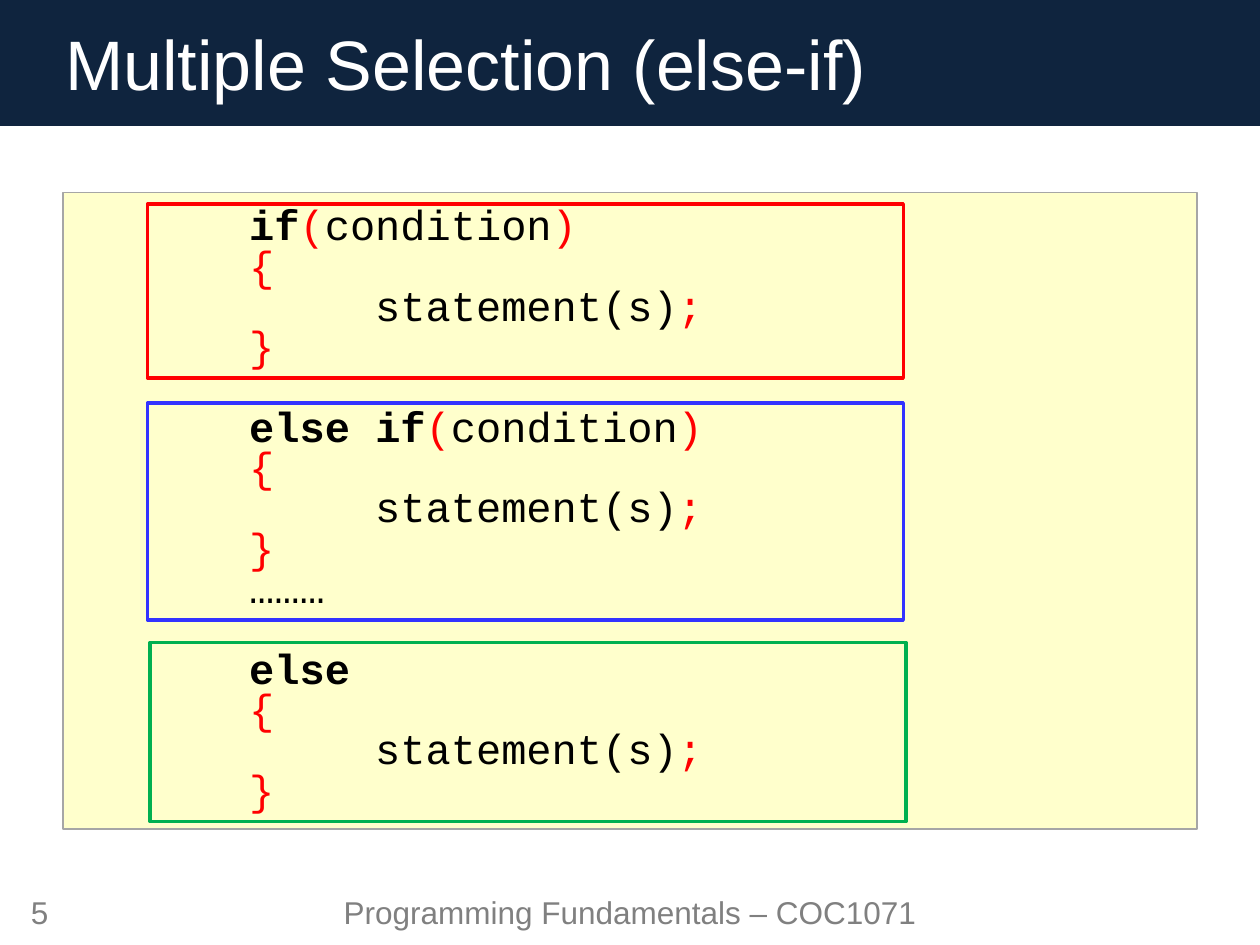
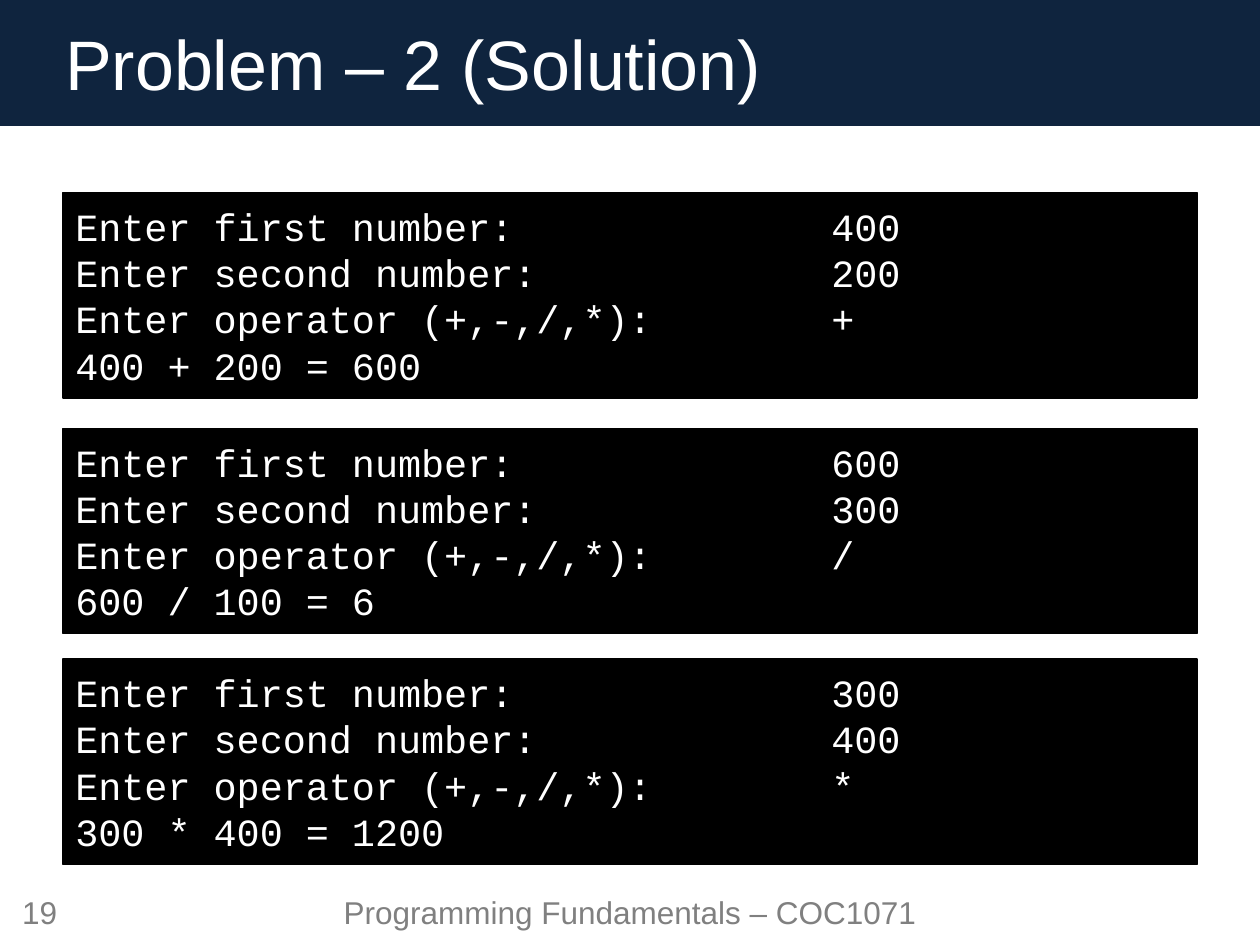
"""Build two programming slides: else-if syntax and sample console output."""
from dataclasses import dataclass

from pptx import Presentation
from pptx.dml.color import RGBColor
from pptx.enum.shapes import MSO_SHAPE as SHAPE
from pptx.enum.text import MSO_ANCHOR as ANCHOR, PP_ALIGN as ALIGN
from pptx.oxml import parse_xml
from pptx.oxml.ns import nsdecls
from pptx.shapes.autoshape import Shape
from pptx.slide import Slide
from pptx.util import Inches, Pt

COLORS = {
    "navy": "0F243E", "white": "FFFFFF", "black": "000000", "grey": "808080",
    "cream": "FFFFCC", "edge": "A6A6A6", "red": "FF0000", "blue": "3333FF",
    "green": "00B050",
}
SANS, MONO = "Arial", "Courier New"
FOOTER = "Programming Fundamentals – COC1071"
CODE_INDENT, TAB = 1.38, 1.0
BLANK_LINE = Pt(23)
ANSWER_TAB = 6.0
PROMPTS = ("Enter first number:", "Enter second number:", "Enter operator (+,-,/,*):")


@dataclass(frozen=True)
class Box:
    left: float
    top: float
    width: float
    height: float

    def emu(self) -> tuple:
        return tuple(Inches(v) for v in (self.left, self.top, self.width, self.height))


@dataclass(frozen=True)
class Token:
    text: str
    color: str = "black"
    bold: bool = False


@dataclass(frozen=True)
class CodeLine:
    tokens: tuple[Token, ...]
    level: int = 0
    gap: bool = False


@dataclass(frozen=True)
class Frame:
    box: Box
    color: str


@dataclass(frozen=True)
class Console:
    top: float
    answers: tuple[str, str, str]
    result: str


CONDITION = (Token("(", "red"), Token("condition"), Token(")", "red"))
BODY = (
    CodeLine((Token("{", "red"),)),
    CodeLine((Token("statement(s)"), Token(";", "red")), level=1),
    CodeLine((Token("}", "red"),)),
)
CODE = (
    CodeLine((Token("if", bold=True), *CONDITION)), *BODY,
    CodeLine((Token("else if", bold=True), *CONDITION), gap=True), *BODY,
    CodeLine((Token("………"),)),
    CodeLine((Token("else", bold=True),), gap=True), *BODY,
)
FRAMES = (
    Frame(Box(1.17, 1.62, 6, 1.38), "red"),
    Frame(Box(1.17, 3.2, 6, 1.72), "blue"),
    Frame(Box(1.19, 5.1, 6, 1.42), "green"),
)
CONSOLES = (
    Console(1.53, ("400", "200", "+"), "400 + 200 = 600"),
    Console(3.4, ("600", "300", "/"), "600 / 100 = 6"),
    Console(5.23, ("300", "400", "*"), "300 * 400 = 1200"),
)


def rgb(name: str) -> RGBColor:
    return RGBColor.from_string(COLORS[name])


def add_rect(s: Slide, box: Box, fill: str | None = None,
             line: str | None = None, weight: float = 0.75) -> Shape:
    sp = s.shapes.add_shape(SHAPE.RECTANGLE, *box.emu())
    sp.shadow.inherit = False
    if fill:
        sp.fill.solid()
        sp.fill.fore_color.rgb = rgb(fill)
    else:
        sp.fill.background()
    if line:
        sp.line.color.rgb = rgb(line)
        sp.line.width = Pt(weight)
    else:
        sp.line.fill.background()
    return sp


def write(sp: Shape, lines: list[str], font: str, size: int, color: str,
          align: ALIGN = ALIGN.LEFT, tab: float | None = None) -> None:
    tf = sp.text_frame
    tf.word_wrap = True
    tf.vertical_anchor = ANCHOR.MIDDLE
    for i, line in enumerate(lines):
        p = tf.add_paragraph() if i else tf.paragraphs[0]
        p.text = line
        p.alignment = align
        if tab:
            p._p.get_or_add_pPr().append(parse_xml(
                f'<a:tabLst {nsdecls("a")}><a:tab pos="{Inches(tab)}" algn="l"/></a:tabLst>'))
        p.font.name, p.font.size = font, Pt(size)
        p.font.color.rgb = rgb(color)


def add_label(s: Slide, box: Box, text: str) -> None:
    write(s.shapes.add_textbox(*box.emu()), [text], SANS, 18, "grey", ALIGN.CENTER)


def add_base(prs: Presentation, title: str, number: int) -> Slide:
    s = prs.slides.add_slide(prs.slide_layouts[6])
    add_rect(s, Box(0, 0, 10, 1), "navy")
    write(add_rect(s, Box(0.42, 0, 9.17, 1), "navy"), [title], SANS, 40, "white")
    add_label(s, Box(2.25, 7, 5.5, 0.47), FOOTER)
    add_label(s, Box(0, 7, 0.63, 0.47), str(number))
    return s


def add_code(s: Slide, box: Box, lines: tuple[CodeLine, ...]) -> None:
    tf = add_rect(s, box, "cream", "edge").text_frame
    tf.word_wrap = True
    tf.vertical_anchor = ANCHOR.MIDDLE
    for i, line in enumerate(lines):
        p = tf.add_paragraph() if i else tf.paragraphs[0]
        p.alignment = ALIGN.LEFT
        p.line_spacing = 0.8
        if line.gap:
            p.space_before = BLANK_LINE
        p._p.get_or_add_pPr().set("marL", str(Inches(CODE_INDENT + line.level * TAB)))
        p.font.name, p.font.size = MONO, Pt(24)
        for token in line.tokens:
            r = p.add_run()
            r.text = token.text
            r.font.bold = token.bold
            r.font.color.rgb = rgb(token.color)


def add_console(s: Slide, console: Console) -> None:
    lines = [f"{prompt}\t{answer}" for prompt, answer in zip(PROMPTS, console.answers)]
    sp = add_rect(s, Box(0.5, console.top, 9, 1.63), "black", "black")
    write(sp, [*lines, console.result], MONO, 22, "white", tab=ANSWER_TAB)


def main() -> None:
    prs = Presentation()
    prs.slide_width, prs.slide_height = Inches(10), Inches(7.5)

    s = add_base(prs, "Multiple Selection (else-if)", 5)
    add_code(s, Box(0.5, 1.53, 9, 5.05), CODE)
    for frame in FRAMES:
        add_rect(s, frame.box, line=frame.color, weight=2)

    s = add_base(prs, "Problem – 2 (Solution)", 19)
    for console in CONSOLES:
        add_console(s, console)

    prs.save("out.pptx")


if __name__ == "__main__":
    main()
